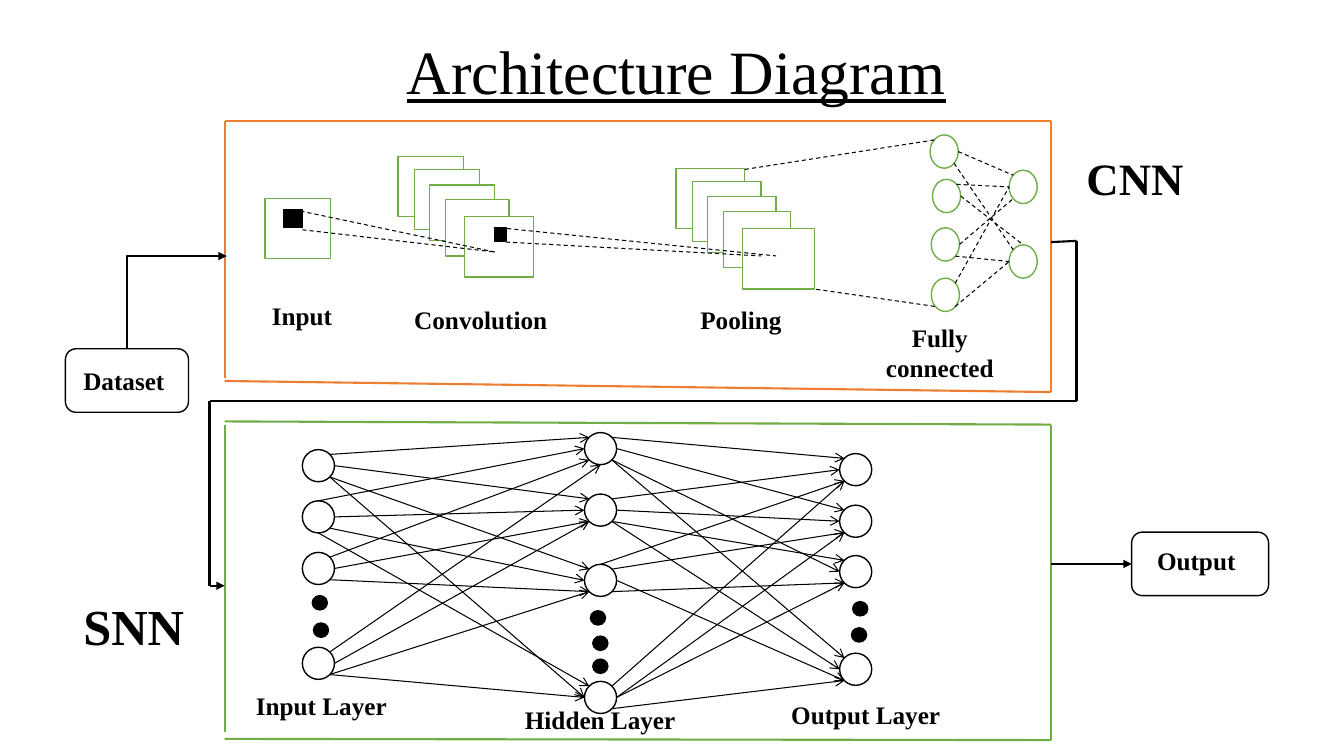
from dataclasses import dataclass
from typing import Any

from lxml.etree import SubElement
from pptx import Presentation
from pptx.dml.color import RGBColor
from pptx.enum.dml import MSO_LINE as DASH
from pptx.enum.shapes import MSO_CONNECTOR as LINK, MSO_SHAPE as KIND
from pptx.enum.text import MSO_ANCHOR as ANCHOR, MSO_AUTO_SIZE as FIT, PP_ALIGN as ALIGN
from pptx.oxml.ns import qn
from pptx.util import Cm, Pt

FONT = "Times New Roman"
HUES = {"ink": "000000", "paper": "FFFFFF", "green": "70AD47", "orange": "ED7D31"}

# Points on an ellipse, as shares of its width and height
SITES = {
    "n": (0.5, 0), "s": (0.5, 1), "w": (0, 0.5), "e": (1, 0.5),
    "nw": (0.15, 0.15), "ne": (0.85, 0.15), "sw": (0.15, 0.85), "se": (0.85, 0.85),
}

# Offset and size of each sheet in a stack of feature maps
SHEETS = [
    (0, 0, 1.65, 1.52), (0.41, 0.33, 1.65, 1.52), (0.79, 0.72, 1.65, 1.4),
    (1.2, 1.09, 1.6, 1.42), (1.68, 1.52, 1.73, 1.52),
]

# Per source node: one "from-to" pair of sites for each target node in turn
IN_LINKS = [
    "ne-nw e-nw se-nw se-w", "n-w e-w se-w s-nw",
    "ne-sw e-sw se-sw", "ne-s e-sw se-sw se-w",
]
OUT_LINKS = [
    "ne-nw e-nw se-w se-nw", "ne-w e-w se-nw se-w",
    "n-sw ne-sw se-sw e-sw", "ne-sw e-sw e-sw se-sw",
]
FULL_LINKS = ["e-nw se-nw", "ne-w e-n", "e-sw se-w", "ne-w se-w"]


def tint(name):
    return RGBColor.from_string(HUES[name])


def style(link, hue, width, head=None):
    link.line.color.rgb = tint(hue)
    link.line.width = Pt(width)
    if head:
        SubElement(link.line._get_or_add_ln(), qn("a:tailEnd"), type=head)
    SubElement(link._element.spPr, qn("a:effectLst"))
    return link


def write(frame, text, size, bold=True):
    frame.text = text
    font = frame.paragraphs[0].runs[0].font
    font.name, font.size, font.bold = FONT, Pt(size), bold
    font.color.rgb = tint("ink")
    return font


@dataclass
class Box:
    """A region whose parts are placed in cm from its top left corner."""
    shapes: Any
    x: float = 0
    y: float = 0

    def spot(self, x, y):
        return Cm(self.x + x), Cm(self.y + y)

    def shape(self, kind, x, y, w, h, edge="ink", fill="paper"):
        item = self.shapes.add_shape(kind, *self.spot(x, y), Cm(w), Cm(h))
        item.shadow.inherit = False
        item.fill.solid()
        item.fill.fore_color.rgb = tint(fill)
        item.line.color.rgb = tint(edge)
        item.line.width = Pt(1)
        return item

    def line(self, start, end, hue="ink", width=1.5, head=None):
        link = self.shapes.add_connector(
            LINK.STRAIGHT, *self.spot(*start), *self.spot(*end))
        return style(link, hue, width, head)

    def dash(self, start, end):
        self.line(start, end, width=0.75).line.dash_style = DASH.DASH

    def label(self, text, x, y, w, h=1.02, size=18):
        area = self.shapes.add_textbox(*self.spot(x, y), Cm(w), Cm(h))
        frame = area.text_frame
        frame.word_wrap = True
        frame.auto_size = FIT.SHAPE_TO_FIT_TEXT
        write(frame, text, size)
        return frame.paragraphs[0]

    def site(self, node, name):
        across, down = SITES[name]
        return ((node.left + across * node.width) / Cm(1) - self.x,
                (node.top + down * node.height) / Cm(1) - self.y)

    def mesh(self, froms, tos, links, draw):
        for node, row in zip(froms, links):
            for goal, pair in zip(tos, row.split()):
                a, b = pair.split("-")
                draw(self.site(node, a), self.site(goal, b))

    def stack(self, x, y, extra=0):
        for dx, dy, w, h in SHEETS:
            self.shape(KIND.RECTANGLE, x + dx, y + dy, w + extra, h, "green")


def title(slide):
    head = slide.shapes.title
    head.left, head.top, head.width, head.height = Cm(2.44), Cm(0.03), Cm(29.21), Cm(3.68)
    head.text_frame.vertical_anchor = ANCHOR.MIDDLE
    write(head.text_frame, "Architecture Diagram", 44, False).underline = True
    para = head.text_frame.paragraphs[0]
    para.alignment, para.line_spacing = ALIGN.CENTER, 0.9


def cnn(box):
    box.shape(KIND.RECTANGLE, 1.02, 1.95, 1.65, 1.52, "green")
    box.shape(KIND.RECTANGLE, 1.5, 2.23, 0.46, 0.46, fill="ink")
    box.stack(4.37, 0.89)
    box.stack(11.38, 1.19, 0.08)
    box.shape(KIND.RECTANGLE, 6.81, 2.69, 0.28, 0.33, fill="ink")
    for start, end in [
        ((1.96, 2.74), (6.81, 3.3)), ((1.73, 2.23), (6.81, 3.3)),
        ((6.94, 2.69), (13.9, 3.4)), ((7.09, 3.05), (13.52, 3.4)),
    ]:
        box.dash(start, end)

    first, last = [
        [box.shape(KIND.OVAL, x, y, 0.71, 0.84, "green") for x, y in spots]
        for spots in (
            [(17.78, 0.35), (17.84, 1.47), (17.81, 2.69), (17.81, 3.96)],
            [(19.77, 1.24), (19.77, 3.12)],
        )
    ]
    box.dash((13.11, 1.22), box.site(first[0], "nw"))
    box.dash((14.91, 4.24), box.site(first[3], "sw"))
    box.mesh(first, last, FULL_LINKS, box.dash)

    box.label("Input", 0.94, 4.39, 2.59)
    box.label("Convolution", 4.53, 4.49, 3.89)
    box.label("Pooling", 11.74, 4.49, 3.1)
    box.label("Fully connected", 16.31, 4.95, 3.43, 1.8).alignment = ALIGN.CENTER
    box.label("CNN", 21.47, 0.63, 3.07, 1.63, 32)
    for start, end in [
        ((0, 0), (20.83, 0)), ((0, 0), (0, 6.48)),
        ((0, 6.55), (20.83, 6.83)), ((20.83, 0), (20.83, 6.83)),
    ]:
        box.line(start, end, "orange")


def snn(box):
    def arrow(start, end):
        box.line(start, end, width=0.75, head="arrow")

    layers = [
        [box.shape(KIND.OVAL, x, y, 0.81, 0.81) for y in tops]
        for x, tops in [
            (1.96, (0.71, 2, 3.3, 5.69)),
            (9.07, (0.28, 1.83, 3.6, 6.55)),
            (15.5, (0.81, 2.11, 3.38, 5.84)),
        ]
    ]
    for x, y in [(2.21, 4.39), (2.24, 5.08), (9.22, 4.77), (9.28, 5.41),
                 (9.28, 5.99), (15.83, 4.54), (15.8, 5.2)]:
        box.shape(KIND.OVAL, x, y, 0.38, 0.36, fill="ink")
    for froms, tos, links in zip(layers, layers[1:], (IN_LINKS, OUT_LINKS)):
        box.mesh(froms, tos, links, arrow)

    box.label("Input Layer", 0.54, 6.65, 3.81)
    box.label("Hidden Layer", 7.32, 7.01, 4.52)
    box.label("Output Layer", 14.03, 6.88, 4.37)
    box.label("SNN", -3.81, 4.26, 3.1, 1.8, 36)
    for start, end in [
        ((0, 0), (20.83, 0.08)), ((0, 0.08), (0, 7.82)),
        ((0, 8), (20.83, 8.03)), ((20.83, 0.08), (20.83, 8.03)),
    ]:
        box.line(start, end, "green")


def flow(box):
    """Dataset and output boxes, and the arrows between regions."""
    box.shape(KIND.ROUNDED_RECTANGLE, 1.65, 8.79, 3.1, 1.6)
    box.label("Dataset", 1.85, 9.09, 3.1)
    bend = box.shapes.add_connector(
        LINK.ELBOW, *box.spot(3.29, 6.37), *box.spot(5.63, 8.88))
    bend._element.spPr.find(qn("a:prstGeom")).set("prst", "bentConnector2")
    frame = bend._element.spPr.find(qn("a:xfrm"))
    for key, value in (("rot", "5400000"), ("flipH", "1"), ("flipV", "1")):
        frame.set(key, value)
    style(bend, "ink", 1.5, "triangle")

    turns = [(26.49, 6.1), (27.13, 6.07), (27.13, 10.11),
             (5.28, 10.11), (5.28, 14.76), (5.66, 14.76)]
    for start, end in zip(turns, turns[1:]):
        box.line(start, end, head="triangle" if end == turns[-1] else None)

    output = box.shape(KIND.ROUNDED_RECTANGLE, 28.52, 13.41, 3.45, 1.6)
    box.label("Output", 28.91, 13.61, 3.45)
    box.line((26.49, 14.21), (28.52, 14.21), head="triangle").end_connect(output, 1)


def main():
    deck = Presentation()
    deck.slide_width, deck.slide_height = Cm(33.87), Cm(19.05)
    slide = deck.slides.add_slide(deck.slide_layouts[5])
    title(slide)
    cnn(Box(slide.shapes, 5.66, 3.05))
    snn(Box(slide.shapes, 5.66, 10.62))
    flow(Box(slide.shapes))
    deck.save("out.pptx")


if __name__ == "__main__":
    main()
